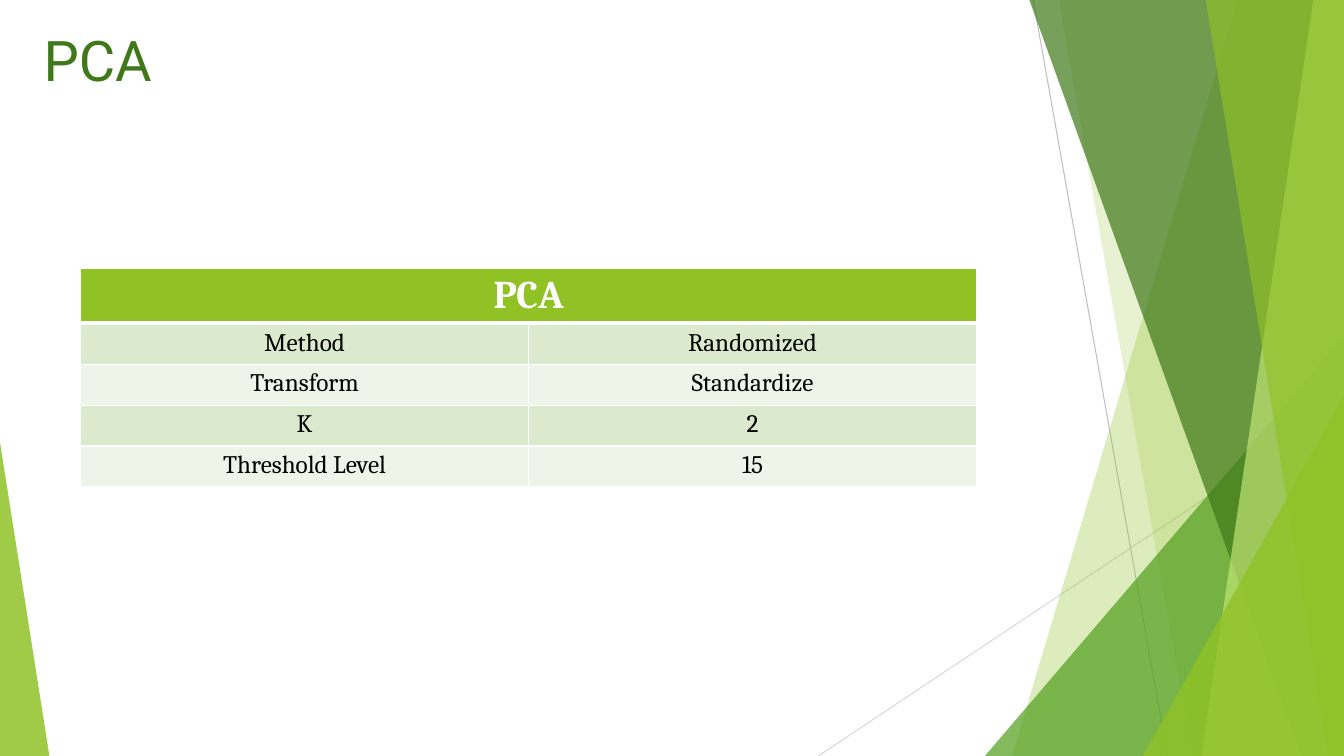
"""Build the PCA settings slide with its faceted green backdrop."""
from lxml.etree import SubElement
from pptx import Presentation
from pptx.dml.color import RGBColor as RGB
from pptx.enum.shapes import MSO_CONNECTOR as CONN, MSO_SHAPE as SHAPE
from pptx.enum.text import MSO_AUTO_SIZE as FIT, PP_ALIGN as ALIGN
from pptx.oxml.ns import qn
from pptx.util import Pt

TITLE = "PCA"
HEADER = "PCA"
ROWS = [
    ("Method", "Randomized"),
    ("Transform", "Standardize"),
    ("K", "2"),
    ("Threshold Level", "15"),
]
THEME = {
    "lime": "90C226", "pale": "C0E474", "green": "54A021", "dark": "3F7819",
    "grey": "BFBFBF", "light": "D9D9D9", "white": "FFFFFF", "black": "000000",
    "bands": ("DBE9CD", "EEF4E8"),
    "title_font": "Roboto", "table_font": "Cambria",
    "title": 40, "header": 28, "body": 18,
}
W, H, TOP = 960, 540, -0.6
RAYS = [((738, 0), (834, H), "grey"), ((W, 290), (584.5, H), "light")]
FACETS = [
    ("ribbon", (884.2, 722.9), "lime", 30),
    ("ribbon", (756, 851.8), "lime", 20),
    ("triangle", (703.5, 240, 256.5, 1), "green", 72),
    ("ribbon", (735.1, 929.5), "dark", 70),
    ("ribbon", (938.2, 858.2), "pale", 70),
    ("ribbon", (861.1, 949), "lime", 65),
    ("triangle", (816.5, 283, 143.5, 1), "lime", 80),
    ("triangle", (0, 316, 35.3, 0), "lime", 85),
]
TABLE_X, TABLE_Y, COL_W, HEADER_H, ROW_H = 57.6, 191.5, 320, 39.2, 29.25


def put_text(tf, text, font, size, color, bold=False, align=ALIGN.LEFT):
    p = tf.paragraphs[0]
    p.alignment = align
    r = p.add_run()
    r.text = text
    r.font.name, r.font.size, r.font.bold = font, Pt(size), bold
    r.font.color.rgb = RGB.from_string(color)


def add_ray(s, start, end, color):
    ray = s.shapes.add_connector(CONN.STRAIGHT, *map(Pt, start + end))
    ray.line.color.rgb = RGB.from_string(THEME[color])
    ray.line.width = Pt(0.75)
    SubElement(ray._element.spPr, qn("a:effectLst"))


def add_facet(s, kind, place, color, opacity):
    if kind == "ribbon":
        top_x, bottom_x = place
        outline = s.shapes.build_freeform(Pt(top_x), Pt(TOP), scale=1.0)
        corners = [(W, TOP), (W, H), (bottom_x, H)]
        outline.add_line_segments([(Pt(x), Pt(y)) for x, y in corners])
        sp = outline.convert_to_shape()
    else:
        x, y, width, apex = place
        box = map(Pt, (x, y, width, H - y))
        sp = s.shapes.add_shape(SHAPE.ISOSCELES_TRIANGLE, *box)
        sp.adjustments[0] = apex
    sp.shadow.inherit = False
    sp.line.fill.background()
    sp.fill.solid()
    sp.fill.fore_color.rgb = RGB.from_string(THEME[color])
    clr = sp._element.spPr.find(qn("a:solidFill"))[0]
    SubElement(clr, qn("a:alpha"), val=str(opacity * 1000))


def style_cell(cell, fill, bottom=1):
    tcPr = cell._tc.get_or_add_tcPr()
    for side, width in (("L", 1), ("R", 1), ("T", 1), ("B", bottom)):
        ln = SubElement(tcPr, qn(f"a:ln{side}"), w=str(Pt(width)))
        solid = SubElement(ln, qn("a:solidFill"))
        SubElement(solid, qn("a:srgbClr"), val=THEME["white"])
    cell.fill.solid()
    cell.fill.fore_color.rgb = RGB.from_string(fill)


def add_settings(s):
    height = HEADER_H + ROW_H * len(ROWS)
    box = map(Pt, (TABLE_X, TABLE_Y, COL_W * 2, height))
    table = s.shapes.add_table(len(ROWS) + 1, 2, *box).table
    for col in table.columns:
        col.width = Pt(COL_W)
    for i, row in enumerate(table.rows):
        row.height = Pt(ROW_H if i else HEADER_H)
    for cell in table.rows[0].cells:
        style_cell(cell, THEME["lime"], bottom=3)
    head = table.cell(0, 0)
    head.merge(table.cell(0, 1))
    put_text(head.text_frame, HEADER, THEME["table_font"], THEME["header"],
             THEME["white"], bold=True, align=ALIGN.CENTER)
    for i, values in enumerate(ROWS):
        for j, value in enumerate(values):
            cell = table.cell(i + 1, j)
            style_cell(cell, THEME["bands"][i % 2], bottom=1)
            put_text(cell.text_frame, value, THEME["table_font"],
                     THEME["body"], THEME["black"], align=ALIGN.CENTER)
    for cell in table.rows[1].cells:
        cell._tc.tcPr.find(qn("a:lnT")).set("w", str(Pt(3)))


def main():
    prs = Presentation()
    prs.slide_width, prs.slide_height = Pt(W), Pt(H)
    s = prs.slides.add_slide(prs.slide_layouts[6])
    for ray in RAYS:
        add_ray(s, *ray)
    for facet in FACETS:
        add_facet(s, *facet)
    add_settings(s)
    tf = s.shapes.add_textbox(*map(Pt, (24, 14.4, 481, 55.4))).text_frame
    tf.word_wrap = True
    tf.auto_size = FIT.SHAPE_TO_FIT_TEXT
    put_text(tf, TITLE, THEME["title_font"], THEME["title"], THEME["dark"])
    prs.save("out.pptx")


if __name__ == "__main__":
    main()
